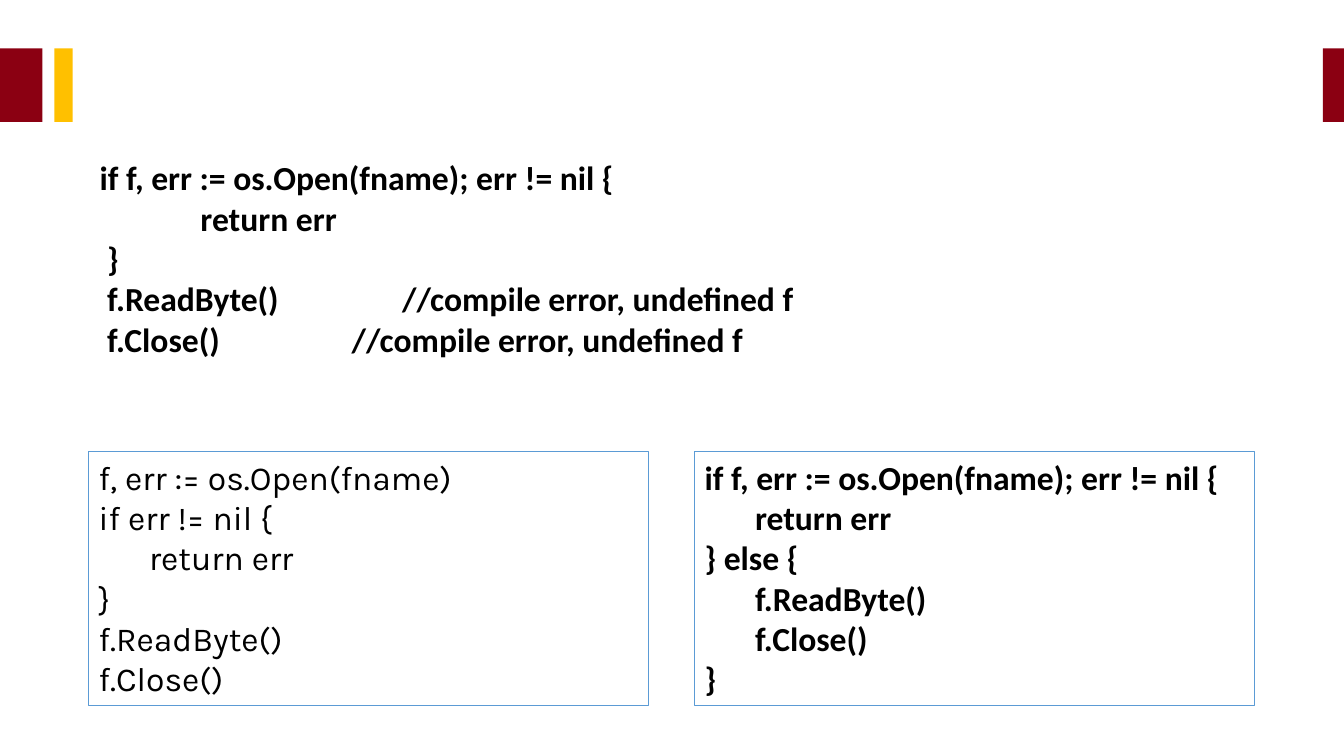
from pptx import Presentation
from pptx.dml.color import RGBColor
from pptx.enum.shapes import MSO_SHAPE
from pptx.enum.text import MSO_ANCHOR, PP_ALIGN
from pptx.util import Inches, Pt

COLORS = {"maroon": "8B0012", "gold": "FFC000", "border": "5B9BD5", "text": "000000"}

SCOPE_ERROR = """if f, err := os.Open(fname); err != nil {
\t\treturn err
 }
 f.ReadByte()\t\t\t//compile error, undefined f
 f.Close()\t\t\t//compile error, undefined f"""

ELSE_BRANCH = """if f, err := os.Open(fname); err != nil {
\treturn err
} else {
\tf.ReadByte()
\tf.Close()
}"""

EARLY_RETURN = """f, err := os.Open(fname)
if err != nil {
\treturn err
}
f.ReadByte()
f.Close()"""


class CodePage:
    size = Pt(24)

    def __init__(self, deck):
        self.page = deck.slides.add_slide(deck.slide_layouts[6])

    def color(self, name):
        return RGBColor.from_string(COLORS[name])

    def rectangle(self, left, top, width, height):
        box = self.page.shapes.add_shape(
            MSO_SHAPE.RECTANGLE, Inches(left), Inches(top), Inches(width), Inches(height))
        box.shadow.inherit = False
        return box

    def bar(self, left, width, color):
        box = self.rectangle(left, 0.48, width, 0.73)
        box.fill.solid()
        box.fill.fore_color.rgb = self.color(color)
        box.line.fill.background()

    def set_code(self, box, code, font, bold):
        frame = box.text_frame
        frame.word_wrap = True
        frame.vertical_anchor = MSO_ANCHOR.TOP
        frame.text = code
        for para in frame.paragraphs:
            para.alignment = PP_ALIGN.LEFT
            for span in para.runs:
                span.font.name = font
                span.font.size = self.size
                span.font.bold = bold
                span.font.color.rgb = self.color("text")

    def code_text(self, left, top, width, height, code):
        box = self.page.shapes.add_textbox(
            Inches(left), Inches(top), Inches(width), Inches(height))
        self.set_code(box, code, "Calibri", True)

    def code_frame(self, left, code, font, bold):
        box = self.rectangle(left, 4.48, 5.55, 2.52)
        box.fill.background()
        box.line.color.rgb = self.color("border")
        box.line.width = Pt(0.75)
        self.set_code(box, code, font, bold)


def main():
    deck = Presentation()
    deck.slide_width, deck.slide_height = Inches(13.33), Inches(7.5)
    page = CodePage(deck)
    page.bar(-0.01, 0.43, "maroon")
    page.bar(0.54, 0.18, "gold")
    page.bar(13.12, 0.22, "maroon")
    page.code_text(0.89, 1.51, 12.07, 2.93, SCOPE_ERROR)
    page.code_frame(6.89, ELSE_BRANCH, "Calibri", True)
    page.code_frame(0.88, EARLY_RETURN, "Karla", False)
    deck.save("out.pptx")


if __name__ == "__main__":
    main()
